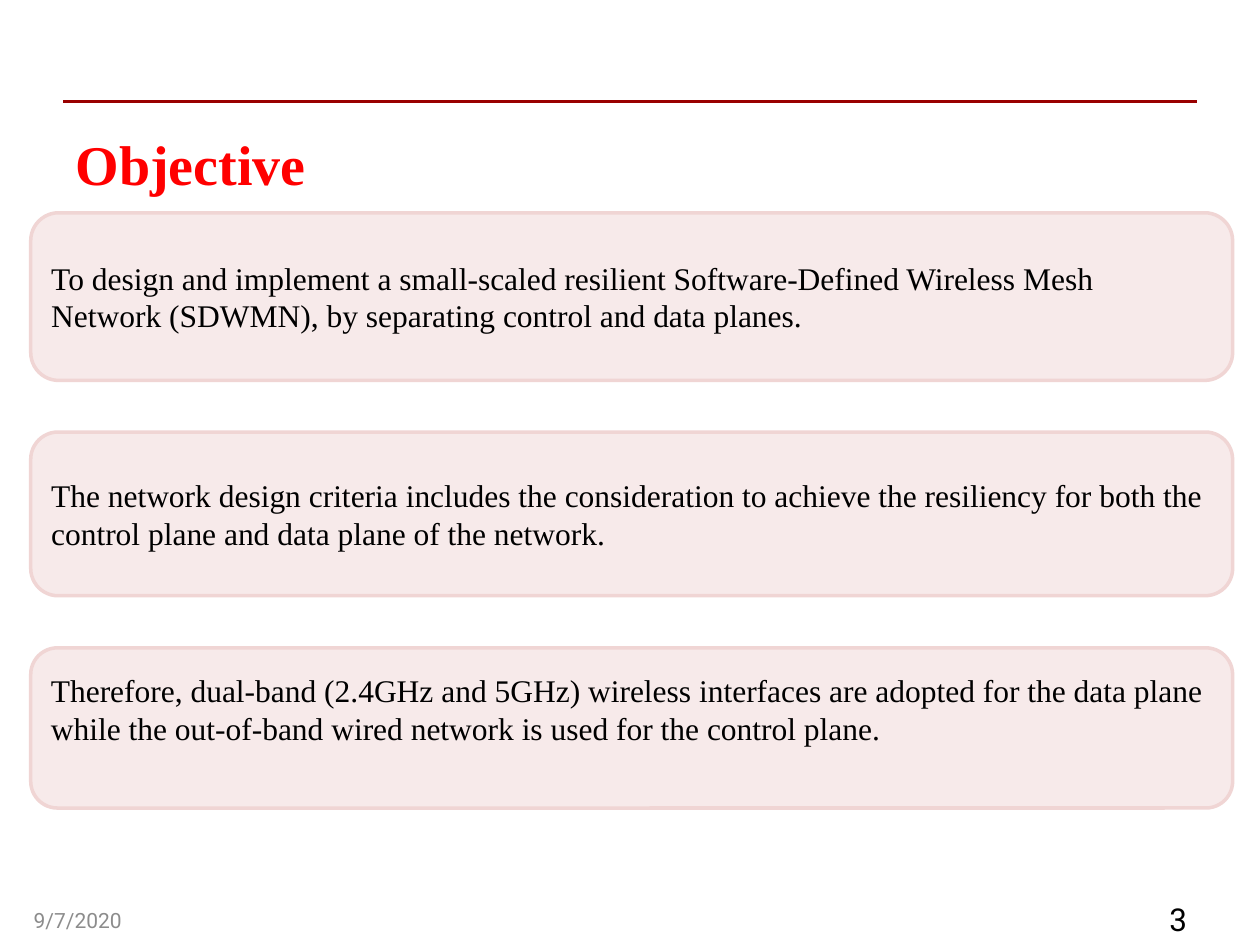
from dataclasses import dataclass

from lxml import etree
from pptx import Presentation
from pptx.dml.color import RGBColor
from pptx.enum.shapes import MSO_CONNECTOR, MSO_SHAPE
from pptx.enum.text import MSO_ANCHOR, MSO_AUTO_SIZE, PP_ALIGN
from pptx.oxml.ns import qn
from pptx.util import Cm, Pt

LINE = MSO_CONNECTOR.STRAIGHT
ROUND = MSO_SHAPE.ROUNDED_RECTANGLE
TOP, MIDDLE = MSO_ANCHOR.TOP, MSO_ANCHOR.MIDDLE
FIXED = MSO_AUTO_SIZE.NONE
LEFT, RIGHT = PP_ALIGN.LEFT, PP_ALIGN.RIGHT


@dataclass(frozen=True)
class Theme:
    serif: str = "Times New Roman"
    sans: str = "Roboto"
    title: str = "FF0000"
    text: str = "000000"
    muted: str = "8C8C8C"
    rule: str = "990000"
    fill: str = "F7EAEA"
    edge: str = "F0D5D4"
    head: int = 32
    body: int = 18
    small: int = 12
    stroke: int = 2


class Page:
    """Draws styled elements on one slide, with lengths in centimetres."""

    def __init__(self, slide, theme):
        self.slide, self.theme = slide, theme

    def set_text(self, shape, text, font, size, color, bold=False,
                 align=LEFT, anchor=MIDDLE):
        frame = shape.text_frame
        frame.text = text
        frame.word_wrap = True
        frame.auto_size = FIXED
        frame.vertical_anchor = anchor
        para = frame.paragraphs[0]
        para.alignment = align
        para.font.name, para.font.size, para.font.bold = font, Pt(size), bold
        para.font.color.rgb = RGBColor.from_string(color)

    def stroke(self, shape, color):
        shape.line.color.rgb = RGBColor.from_string(color)
        shape.line.width = Pt(self.theme.stroke)

    def rule(self, left, right, top):
        line = self.slide.shapes.add_connector(
            LINE, Cm(left), Cm(top), Cm(right), Cm(top))
        self.stroke(line, self.theme.rule)
        etree.SubElement(line._element.spPr, qn("a:effectLst"))

    def title(self, text, left, top, width, height):
        box = self.slide.shapes.title
        box.left, box.top = Cm(left), Cm(top)
        box.width, box.height = Cm(width), Cm(height)
        look = self.theme
        self.set_text(box, text, look.serif, look.head, look.title,
                      bold=True, anchor=TOP)

    def card(self, text, left, top, width, height, lift):
        """Draw a rounded card; lift raises its text above the middle."""
        look = self.theme
        box = self.slide.shapes.add_shape(
            ROUND, Cm(left), Cm(top), Cm(width), Cm(height))
        box.shadow.inherit = False
        box.fill.solid()
        box.fill.fore_color.rgb = RGBColor.from_string(look.fill)
        self.stroke(box, look.edge)
        self.set_text(box, text, look.serif, look.body, look.text)
        box.text_frame.margin_bottom = Cm(0.13 + 2 * lift)

    def label(self, text, left, top, width, height, size, color, **style):
        box = self.slide.shapes.add_textbox(
            Cm(left), Cm(top), Cm(width), Cm(height))
        self.set_text(box, text, self.theme.sans, size, color, **style)


# Text, top, height and text lift of each card
CARDS = (
    ("To design and implement a small-scaled resilient Software-Defined "
     "Wireless Mesh Network (SDWMN), by separating control and data planes.",
     4.29, 3.38, 0),
    ("The network design criteria includes the consideration to achieve the "
     "resiliency for both the control plane and data plane of the network.",
     8.71, 3.3, 0),
    ("Therefore, dual-band (2.4GHz and 5GHz) wireless interfaces are adopted "
     "for the data plane while the out-of-band wired network is used for the "
     "control plane.",
     13.06, 3.23, 0.38),
)


def main():
    deck = Presentation()
    deck.slide_width, deck.slide_height = Cm(25.4), Cm(19.05)
    look = Theme()
    page = Page(deck.slides.add_slide(deck.slide_layouts[5]), look)
    page.rule(1.27, 24.13, 2.05)
    page.title("Objective", 1.27, 2.49, 5.2, 1.62)
    for text, top, height, lift in CARDS:
        page.card(text, 0.62, top, 24.23, height, lift)
    page.label("9/7/2020", 0.43, 18.03, 5.92, 1.02, look.small, look.muted)
    page.label("3", 22.05, 18.01, 2.13, 1.02, look.body, look.text,
               align=RIGHT, anchor=TOP)
    deck.save("out.pptx")


if __name__ == "__main__":
    main()
